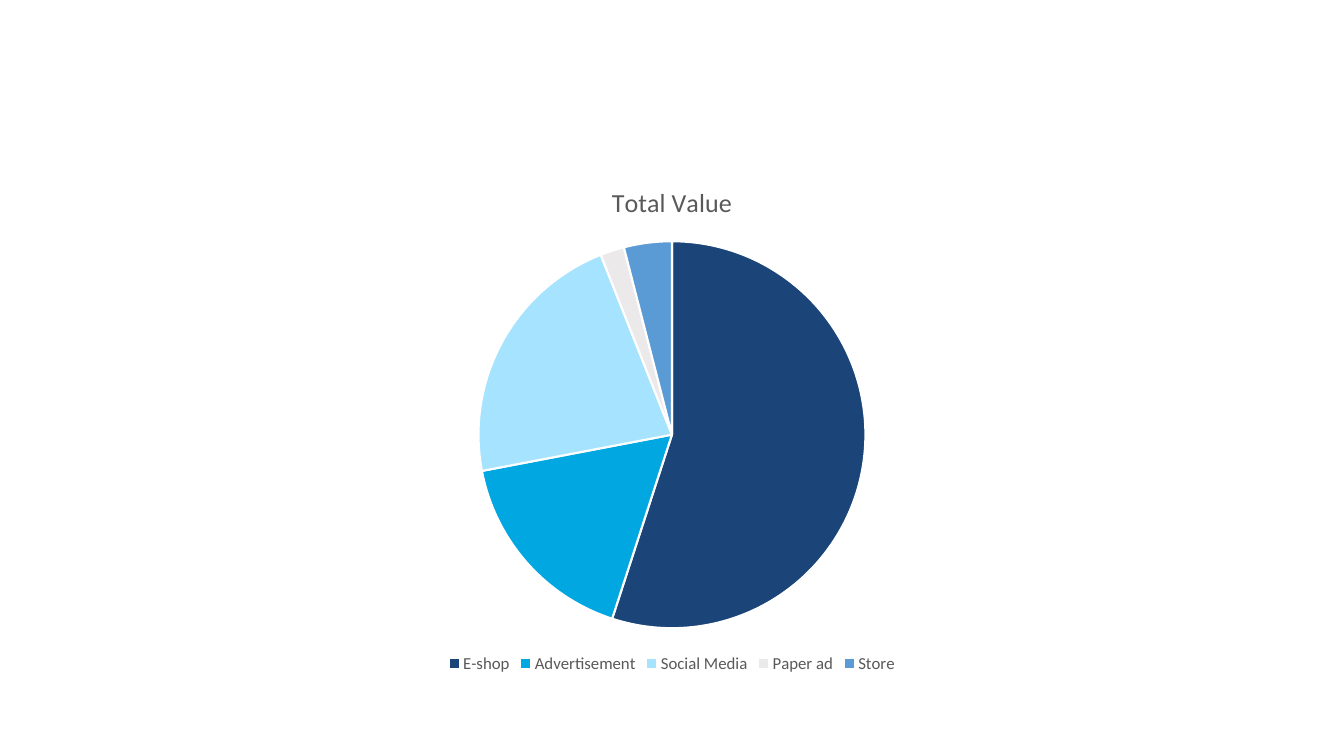
from dataclasses import dataclass

from pptx import Presentation
from pptx.chart.data import CategoryChartData as Data
from pptx.dml.color import RGBColor as RGB
from pptx.enum.chart import XL_CHART_TYPE as Kind, XL_LEGEND_POSITION as Place
from pptx.util import Cm, Pt

TITLE = "Total Value"
SHARES = [
    ("E-shop", 55, "1B4479"),
    ("Advertisement", 17, "00A7E1"),
    ("Social Media", 22, "A6E3FF"),
    ("Paper ad", 2, "EBE9E9"),
    ("Store", 4, "5B9BD5"),
]
SIZE = 33.87, 19.05
BOX = 2.33, 4.12, 29.21, 12.95


@dataclass(frozen=True)
class Theme:
    face: str = "Calibri"
    text: str = "595959"
    edge: str = "FFFFFF"
    title: float = 18.6
    legend: float = 12
    base: float = 10
    line: float = 1.5


THEME = Theme()


def style(font, size):
    font.name = THEME.face
    font.size = Pt(size)
    font.bold = False
    font.color.rgb = RGB.from_string(THEME.text)


def add_pie(slide):
    names, values, colors = zip(*SHARES)
    data = Data()
    data.categories = names
    data.add_series(TITLE, values)
    frame = slide.shapes.add_chart(Kind.PIE, *map(Cm, BOX), data)
    chart = frame.chart
    style(chart.font, THEME.base)

    chart.has_title = True
    title = chart.chart_title
    title.include_in_layout = False
    title.text_frame.text = TITLE
    style(title.text_frame.paragraphs[0].font, THEME.title)

    chart.has_legend = True
    legend = chart.legend
    legend.position = Place.BOTTOM
    legend.include_in_layout = False
    style(legend.font, THEME.legend)

    plot = chart.plots[0]
    plot.vary_by_categories = True
    for index, color in enumerate(colors):
        look = plot.series[0].points[index].format
        look.fill.solid()
        look.fill.fore_color.rgb = RGB.from_string(color)
        look.line.color.rgb = RGB.from_string(THEME.edge)
        look.line.width = Pt(THEME.line)


def main():
    deck = Presentation()
    deck.slide_width, deck.slide_height = map(Cm, SIZE)
    blank = deck.slide_layouts[6]
    add_pie(deck.slides.add_slide(blank))
    deck.save("out.pptx")


if __name__ == "__main__":
    main()
